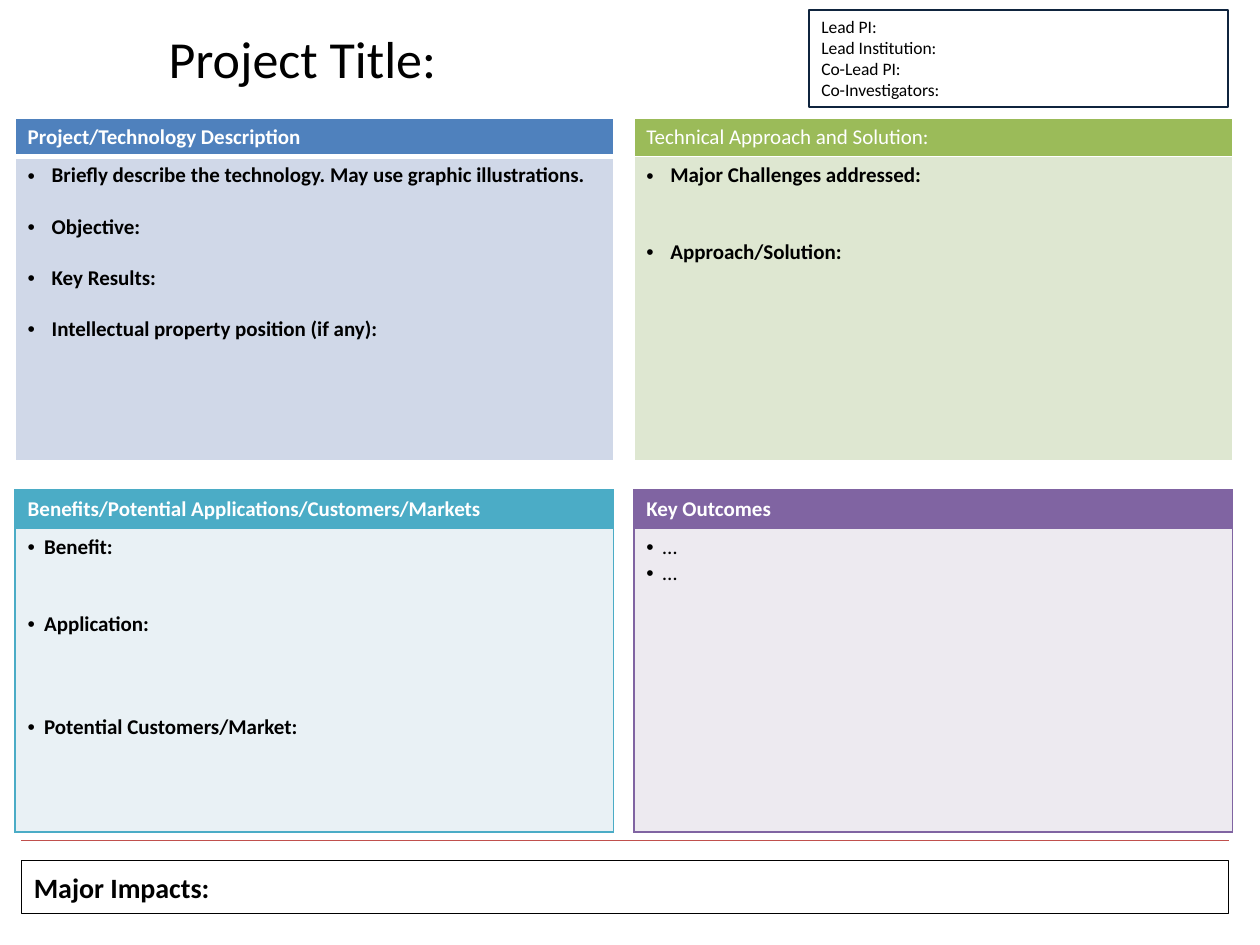
from lxml.etree import SubElement
from pptx import Presentation
from pptx.dml.color import RGBColor
from pptx.enum.shapes import MSO_CONNECTOR as Connector, MSO_SHAPE as Preset
from pptx.enum.text import MSO_ANCHOR as Anchor, PP_ALIGN as Align
from pptx.oxml.ns import qn
from pptx.util import Inches, Pt

COLUMNS, ROWS = (0.12, 5.03), (0.94, 3.89)
PANEL_WIDTH, HEADER_HEIGHT, BODY_HEIGHT = 4.75, 0.3, 2.41
LINE_PITCH = 14.65

PANELS = [
    dict(column=0, row=0, heading="Project/Technology Description", heading_bold=True,
         fill="4F81BD", tint="D0D8E8", border="FFFFFF", divider=3, indent=0.19, bold=True,
         items=[("Briefly describe the technology. May use graphic illustrations.", 0),
                ("Objective:", 1), ("Key Results:", 1),
                ("Intellectual property position (if any):", 1)]),
    dict(column=1, row=0, heading="Technical Approach and Solution:", heading_bold=False,
         fill="9BBB59", tint="DEE7D1", border="FFFFFF", divider=1, indent=0.19, bold=True,
         items=[("Major Challenges addressed:", 0), ("Approach/Solution:", 2)]),
    dict(column=0, row=1, heading="Benefits/Potential Applications/Customers/Markets",
         heading_bold=True, fill="4BACC6", tint="E9F1F5", border="4BACC6", divider=1,
         indent=0.13, bold=True,
         items=[("Benefit:", 0), ("Application:", 2), ("Potential Customers/Market:", 3)]),
    dict(column=1, row=1, heading="Key Outcomes", heading_bold=True,
         fill="8064A2", tint="EDEAF0", border="8064A2", divider=1, indent=0.13, bold=False,
         items=[("…", 0), ("…", 0)]),
]


def color(value):
    """Turn a hex string into a colour."""
    return RGBColor.from_string(value)


def paint(fill, value):
    """Fill with one colour, or leave empty when there is none."""
    if value:
        fill.solid()
        fill.fore_color.rgb = color(value)
    else:
        fill.background()


def write(paragraph, text, size, value="000000", bold=False):
    """Put one formatted run in a paragraph."""
    run = paragraph.add_run()
    run.text = text
    for name, setting in dict(name="Calibri", size=Pt(size), bold=bold).items():
        setattr(run.font, name, setting)
    run.font.color.rgb = color(value)
    paragraph.alignment = Align.LEFT


def add_bullet(paragraph, indent):
    """Give a paragraph a round bullet with a hanging indent."""
    properties = paragraph._p.get_or_add_pPr()
    properties.set("marL", str(Inches(indent)))
    properties.set("indent", str(-Inches(indent)))
    SubElement(properties, qn("a:buFont"), typeface="Arial")
    SubElement(properties, qn("a:buChar"), char="•")


def style_cell(cell, fill, border, top=1, bottom=1):
    """Draw the four borders of a cell and fill it."""
    properties = cell._tc.get_or_add_tcPr()
    for side, width in dict(L=1, R=1, T=top, B=bottom).items():
        line = SubElement(properties, qn(f"a:ln{side}"), w=str(Pt(width)))
        SubElement(SubElement(line, qn("a:solidFill")), qn("a:srgbClr"), val=border)
    paint(cell.fill, fill)


def add_panel(slide, panel):
    """Add a heading row over a row of bulleted prompts."""
    place = (COLUMNS[panel["column"]], ROWS[panel["row"]],
             PANEL_WIDTH, HEADER_HEIGHT + BODY_HEIGHT)
    table = slide.shapes.add_table(2, 1, *map(Inches, place)).table
    for row, height in zip(table.rows, (HEADER_HEIGHT, BODY_HEIGHT)):
        row.height = Inches(height)
    header, body = table.cell(0, 0), table.cell(1, 0)
    style_cell(header, panel["fill"], panel["border"], bottom=panel["divider"])
    style_cell(body, panel["tint"], panel["border"], top=panel["divider"])
    write(header.text_frame.paragraphs[0], panel["heading"], 12, "FFFFFF",
          panel["heading_bold"])
    for index, (text, gap) in enumerate(panel["items"]):
        frame = body.text_frame
        paragraph = frame.add_paragraph() if index else frame.paragraphs[0]
        write(paragraph, text, 12, bold=panel["bold"])
        paragraph.space_before = Pt(round(gap * LINE_PITCH, 2))
        add_bullet(paragraph, panel["indent"])


def add_box(slide, place, lines, size, bold=False, fill=None, outline=None,
            anchor=Anchor.MIDDLE):
    """Add a rectangle of text lines, with an optional (colour, width) outline."""
    shape = slide.shapes.add_shape(Preset.RECTANGLE, *map(Inches, place))
    shape.shadow.inherit = False
    paint(shape.fill, fill)
    if outline:
        shape.line.color.rgb = color(outline[0])
        shape.line.width = Pt(outline[1])
    else:
        shape.line.fill.background()
    frame = shape.text_frame
    for name, setting in dict(word_wrap=True, vertical_anchor=anchor).items():
        setattr(frame, name, setting)
    for index, text in enumerate(lines):
        paragraph = frame.add_paragraph() if index else frame.paragraphs[0]
        write(paragraph, text, size, bold=bold)


def add_rule(slide, left, right, top, value, width):
    """Add a horizontal line without a shadow."""
    rule = slide.shapes.add_connector(
        Connector.STRAIGHT, *map(Inches, (left, top, right, top)))
    rule.line.color.rgb = color(value)
    rule.line.width = Pt(width)
    SubElement(rule._element.spPr, qn("a:effectLst"))


def main():
    """Build the project summary slide."""
    presentation = Presentation()
    presentation.slide_width, presentation.slide_height = Inches(10), Inches(7.5)
    slide = presentation.slides.add_slide(presentation.slide_layouts[6])
    for panel in PANELS:
        add_panel(slide, panel)
    add_box(slide, (6.42, 0.08, 3.33, 0.77),
            ["Lead PI:", "Lead Institution:", "Co-Lead PI:", "Co-Investigators:"],
            10, outline=("0F243E", 1.25), anchor=Anchor.TOP)
    add_box(slide, (0.17, 6.83, 9.58, 0.42), ["Major Impacts:"], 16, bold=True,
            fill="FFFFFF", outline=("000000", 0.75))
    add_box(slide, (1.24, 0.19, 5.67, 0.53), ["Project Title:"], 29.7)
    add_rule(slide, 0.17, 9.75, 6.67, "C0504D", 0.75)
    presentation.save("out.pptx")


if __name__ == "__main__":
    main()
